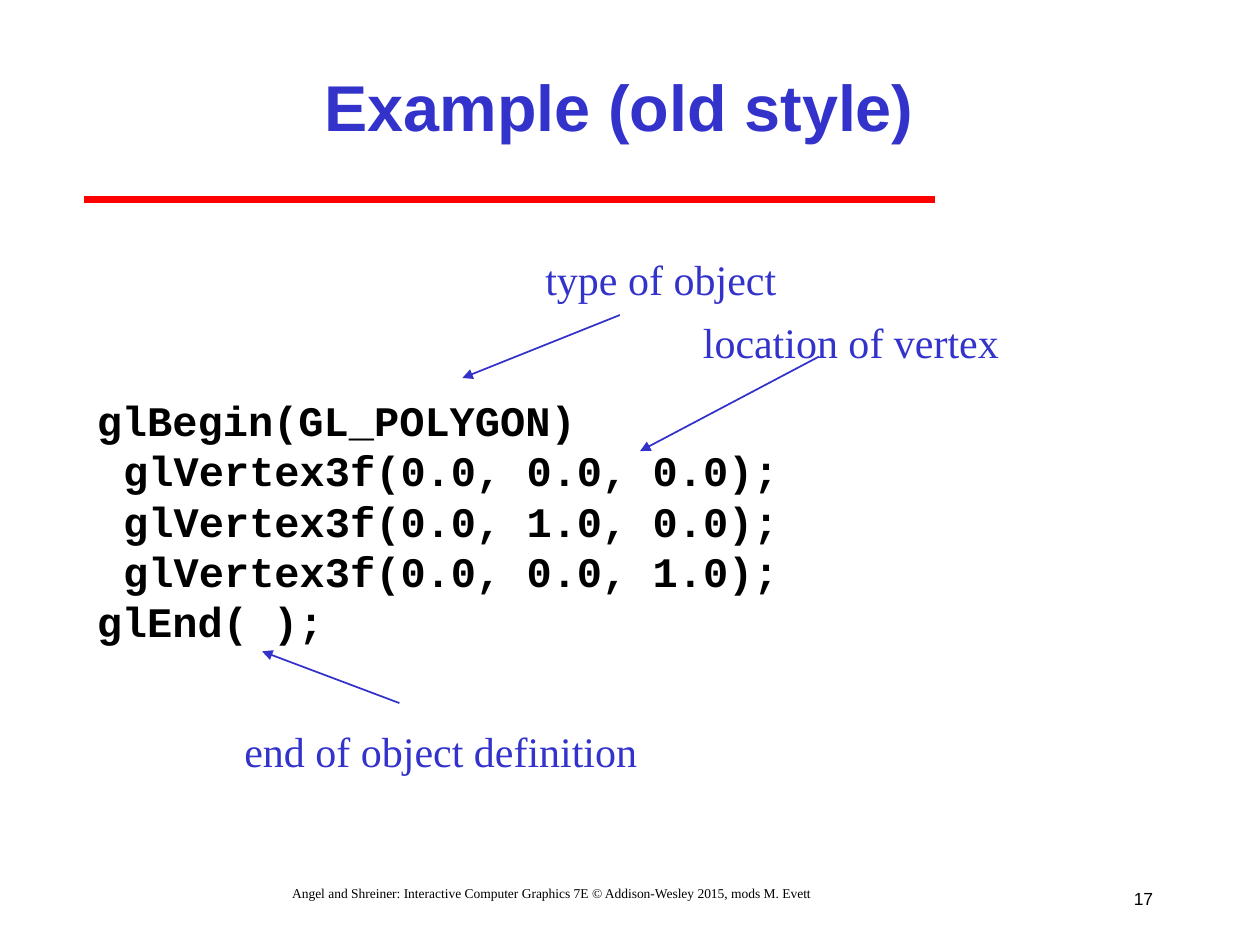
from pptx import Presentation
from pptx.dml.color import RGBColor
from pptx.enum.shapes import MSO_CONNECTOR as Conn
from pptx.enum.text import MSO_ANCHOR as Anchor, MSO_AUTO_SIZE as AutoSize, PP_ALIGN as Align
from pptx.oxml.ns import qn
from pptx.util import Inches, Pt
from lxml.etree import SubElement

COLORS = {"accent": "3333CC", "rule": "FF0000", "ink": "000000"}
FONTS = {"sans": "Arial", "serif": "Times New Roman", "code": "Courier New"}


class Deck:
    """Hold the style and the current slide, and draw each kind of element."""

    def __init__(self):
        self.prs = Presentation()
        self.prs.slide_width, self.prs.slide_height = Inches(10), Inches(7.5)
        self.slide = self.prs.slides.add_slide(self.prs.slide_layouts[5])

    def run(self, p, text, font, size, color, bold=False, align=Align.LEFT):
        p.alignment = align
        r = p.add_run()
        r.text = text
        r.font.name, r.font.size, r.font.bold = FONTS[font], Pt(size), bold
        r.font.color.rgb = RGBColor.from_string(COLORS[color])

    def frame(self, box, wrap=True):
        tf = self.slide.shapes.add_textbox(*(Inches(v) for v in box)).text_frame
        tf.word_wrap = wrap
        return tf

    def title(self, text, box):
        s = self.slide.shapes.title
        s.left, s.top, s.width, s.height = (Inches(v) for v in box)
        tf = s.text_frame
        tf.auto_size, tf.vertical_anchor = AutoSize.NONE, Anchor.MIDDLE
        self.run(tf.paragraphs[0], text, "sans", 37, "accent", True, Align.CENTER)

    def text(self, text, box, font, size, color, wrap=True, anchor=Anchor.TOP,
             align=Align.LEFT, spacing=1.0):
        tf = self.frame(box, wrap)
        tf.vertical_anchor = anchor
        p = tf.paragraphs[0]
        p.line_spacing = spacing
        self.run(p, text, font, size, color, align=align)

    def code(self, lines, box):
        tf = self.frame(box)
        for i, (level, line) in enumerate(lines):
            p = tf.add_paragraph() if i else tf.paragraphs[0]
            pPr = p._p.get_or_add_pPr()
            pPr.set("marL", str(Inches(0.21 * level)))
            pPr.set("indent", "0")
            self.run(p, line, "code", 24, "ink", True)

    def line(self, start, end, color, width, arrow=False):
        ends = (Inches(v) for v in (*start, *end))
        s = self.slide.shapes.add_connector(Conn.STRAIGHT, *ends)
        s.line.color.rgb = RGBColor.from_string(COLORS[color])
        s.line.width = Pt(width)
        spPr = s._element.spPr
        if arrow:
            SubElement(spPr.find(qn("a:ln")), qn("a:tailEnd"), type="triangle")
        SubElement(spPr, qn("a:effectLst"))


def main():
    deck = Deck()
    deck.line((0.67, 1.58), (7.42, 1.58), "rule", 4)
    deck.title("Example (old style)", (1.5, 0.25, 6.83, 1.17))
    deck.code([
        (0, "glBegin(GL_POLYGON)"),
        (1, "glVertex3f(0.0, 0.0, 0.0);"),
        (1, "glVertex3f(0.0, 1.0, 0.0);"),
        (1, "glVertex3f(0.0, 0.0, 1.0);"),
        (0, "glEnd( );"),
    ], (0.67, 3.08, 8.5, 2.33))

    callouts = [
        ("type of object", (4.23, 1.96, 2.03, 0.5), (4.92, 2.5), (3.67, 3)),
        ("location of vertex", (5.48, 2.46, 2.55, 0.5), (6.5, 2.83), (5.08, 3.58)),
        ("end of object definition", (1.84, 5.71, 3.32, 0.5), (3.17, 5.58), (2.08, 5.17)),
    ]
    for label, box, start, end in callouts:
        deck.text(label, box, "serif", 24, "accent", wrap=False)
        deck.line(start, end, "accent", 1, arrow=True)

    deck.text("Angel and Shreiner: Interactive Computer Graphics 7E © Addison-Wesley 2015, mods M. Evett",
              (0.5, 7, 7.75, 0.25), "serif", 7.7, "ink", align=Align.CENTER, spacing=0.8)
    deck.text("17", (8.83, 6.92, 0.42, 0.42), "sans", 10, "ink",
              anchor=Anchor.MIDDLE, align=Align.RIGHT)
    deck.prs.save("out.pptx")


if __name__ == "__main__":
    main()
